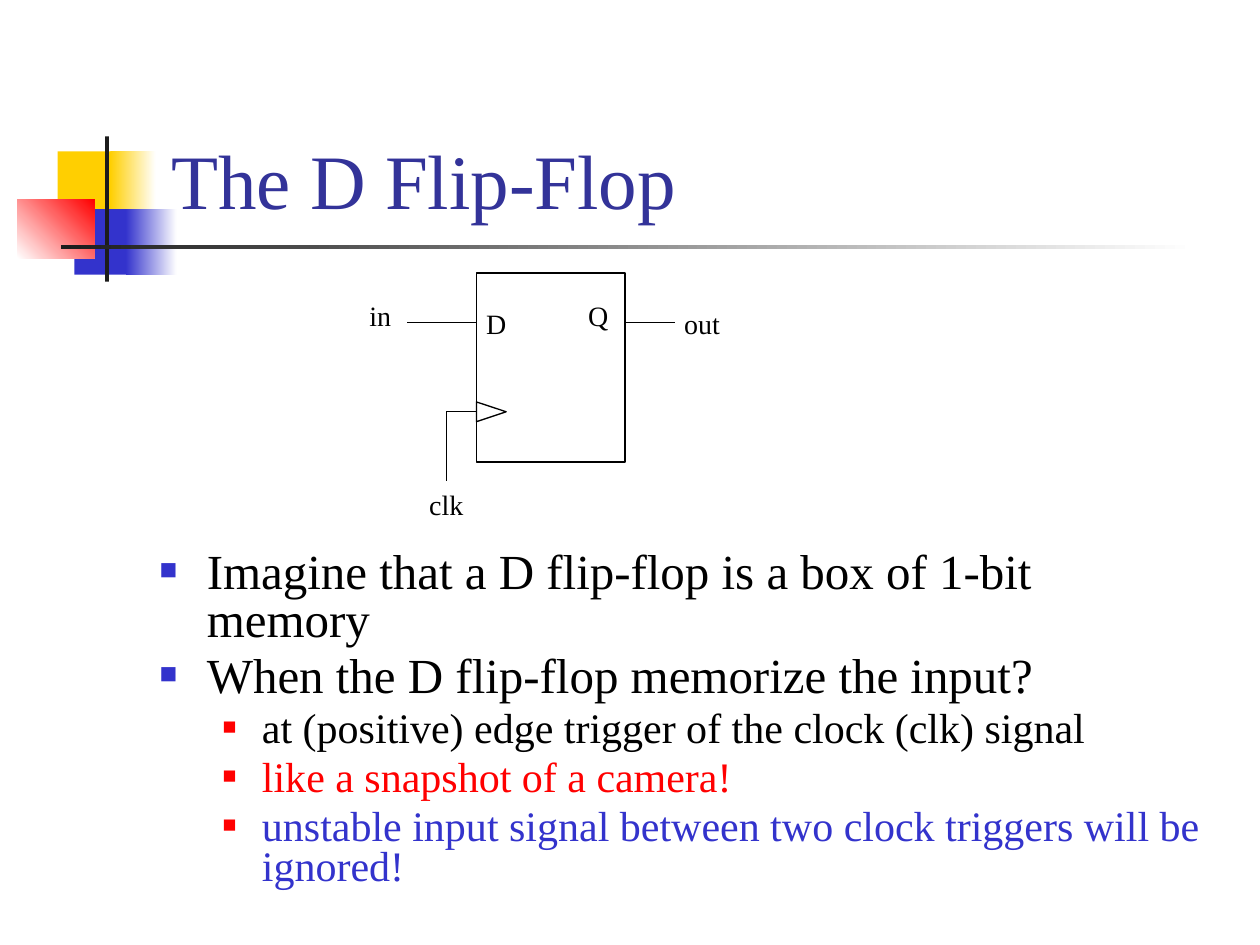
import pptx
import pptx.util
import pptx.dml.color
import pptx.enum.shapes
import pptx.enum.text
import pptx.oxml
import pptx.oxml.ns
from dataclasses import dataclass

Pt = pptx.util.Pt
RGB = pptx.dml.color.RGBColor.from_string
SHAPE = pptx.enum.shapes.MSO_SHAPE
STRAIGHT = pptx.enum.shapes.MSO_CONNECTOR.STRAIGHT
ANCHOR = pptx.enum.text.MSO_ANCHOR
ALIGN = pptx.enum.text.PP_ALIGN
AUTO_SIZE = pptx.enum.text.MSO_AUTO_SIZE


@dataclass(frozen=True)
class Theme:
    """Colours, font and type sizes of the slide."""
    font: str = "Times New Roman"
    title: str = "333399"
    ink: str = "000000"
    dark: str = "1C1C1C"
    white: str = "FFFFFF"
    yellow: str = "FFCF01"
    blue: str = "3333CC"
    red: str = "FF0000"
    title_size: int = 44
    body_sizes: tuple = (28, 24)
    label_size: int = 16
    line_width: float = 0.75


theme = Theme()


def add_span(para, text, size, color):
    """Add one formatted run to a paragraph."""
    span = para.add_run()
    span.text = text
    span.font.name = theme.font
    span.font.size = Pt(size)
    span.font.color.rgb = RGB(color)


def add_bullet(para, color, percent, left, hanging):
    """Give a paragraph a square bullet and a hanging indent."""
    props = para._p.get_or_add_pPr()
    props.set("marL", str(Pt(left)))
    props.set("indent", str(-Pt(hanging)))
    space = pptx.oxml.ns.nsdecls("a")
    for xml in (
        f'<a:buClr {space}><a:srgbClr val="{color}"/></a:buClr>',
        f'<a:buSzPct {space} val="{percent * 1000}"/>',
        f'<a:buFont {space} typeface="{theme.font}"/>',
        f'<a:buChar {space} char="■"/>',
    ):
        props.append(pptx.oxml.parse_xml(xml))


deck = pptx.Presentation()
deck.slide_width, deck.slide_height = Pt(720), Pt(540)
page = deck.slides.add_slide(deck.slide_layouts[1])
title, body = page.placeholders

# Corner ornament: place, start colour, end colour, gradient angle
ornament = [
    ((33, 86.5, 34.5, 37.5), theme.yellow, None, 0),
    ((63, 86.5, 26, 37.5), theme.yellow, theme.white, 0),
    ((42.5, 119.5, 33, 37.5), theme.blue, None, 0),
    ((72, 119.5, 29, 37.5), theme.blue, theme.white, 0),
    ((10, 114, 44, 33.5), theme.white, theme.red, 45),
    ((60, 78, 2.3, 83), theme.dark, None, 0),
    ((34.8, 140.2, 648, 2.3), theme.dark, theme.white, 0),
]
for place, start, end, angle in ornament:
    block = page.shapes.add_shape(SHAPE.RECTANGLE, *map(Pt, place))
    block.shadow.inherit = False
    block.line.fill.background()
    if end is None:
        block.fill.solid()
        block.fill.fore_color.rgb = RGB(start)
    else:
        block.fill.gradient()
        block.fill.gradient_angle = angle
        for stop, color, position in zip(block.fill.gradient_stops, (start, end), (0, 1)):
            stop.color.rgb = RGB(color)
            stop.position = position

# Title and list, in front of the ornament
for holder, place, anchor in (
    (title, (90.7, 16.5, 613.5, 115.5), ANCHOR.BOTTOM),
    (body, (84, 312, 612, 204), ANCHOR.TOP),
):
    holder.element.getparent().append(holder.element)
    holder.left, holder.top, holder.width, holder.height = map(Pt, place)
    holder.text_frame.vertical_anchor = anchor
    holder.text_frame.auto_size = AUTO_SIZE.NONE
    holder.text_frame.word_wrap = True

heading = title.text_frame.paragraphs[0]
heading.alignment = ALIGN.LEFT
add_span(heading, "The D Flip-Flop", theme.title_size, theme.title)

points = [
    (0, "Imagine that a D flip-flop is a box of 1-bit memory", theme.ink),
    (0, "When the D flip-flop memorize the input?", theme.ink),
    (1, "at (positive) edge trigger of the clock (clk) signal", theme.ink),
    (1, "like a snapshot of a camera!", theme.red),
    (1, "unstable input signal between two clock triggers will be ignored!", theme.blue),
]
# Bullet colour, bullet percent, left margin, hanging indent
bullet_levels = [(theme.blue, 60, 27, 27), (theme.red, 55, 58.5, 22.5)]
for index, (level, text, color) in enumerate(points):
    para = body.text_frame.paragraphs[0] if index == 0 else body.text_frame.add_paragraph()
    size = theme.body_sizes[level]
    para.level = level
    para.line_spacing = 0.8
    para.space_before = Pt(0.2 * size)
    add_bullet(para, *bullet_levels[level])
    add_span(para, text, size, color)

# Flip-flop symbol
symbol = page.shapes.add_group_shape().shapes
box_left, box_top, box_width, box_height = 272.2, 156, 85, 108
box_right = box_left + box_width
signal_y, clock_y, clock_x = 184.3, 235.3, 255.1

for kind, place, turn in (
    (SHAPE.RECTANGLE, (box_left, box_top, box_width, box_height), 0),
    (SHAPE.ISOSCELES_TRIANGLE, (275.1, clock_y - 8.5, 11.3, 17), 90),
):
    outline = symbol.add_shape(kind, *map(Pt, place))
    outline.rotation = turn
    outline.shadow.inherit = False
    outline.fill.background()
    outline.line.color.rgb = RGB(theme.ink)
    outline.line.width = Pt(theme.line_width)

for ends in (
    (box_right, signal_y, 385.5, signal_y),
    (box_left, signal_y, 232.5, signal_y),
    (box_left, clock_y, clock_x, clock_y),
    (clock_x, clock_y, clock_x, 275),
):
    wire = symbol.add_connector(STRAIGHT, *map(Pt, ends))
    wire.line.color.rgb = RGB(theme.ink)
    wire.line.width = Pt(theme.line_width)
    wire.element.spPr.append(
        pptx.oxml.parse_xml(f'<a:effectLst {pptx.oxml.ns.nsdecls("a")}/>'))

for text, left, top, width in (
    ("D", 270.7, 171.5, 26),
    ("Q", 329, 167.2, 26),
    ("in", 204, 167.2, 27),
    ("out", 383.9, 171.5, 35),
    ("clk", 238.2, 275, 34),
):
    label = symbol.add_textbox(Pt(left), Pt(top), Pt(width), Pt(26.6))
    label.text_frame.word_wrap = False
    label.text_frame.auto_size = AUTO_SIZE.SHAPE_TO_FIT_TEXT
    add_span(label.text_frame.paragraphs[0], text, theme.label_size, theme.ink)

deck.save("out.pptx")
